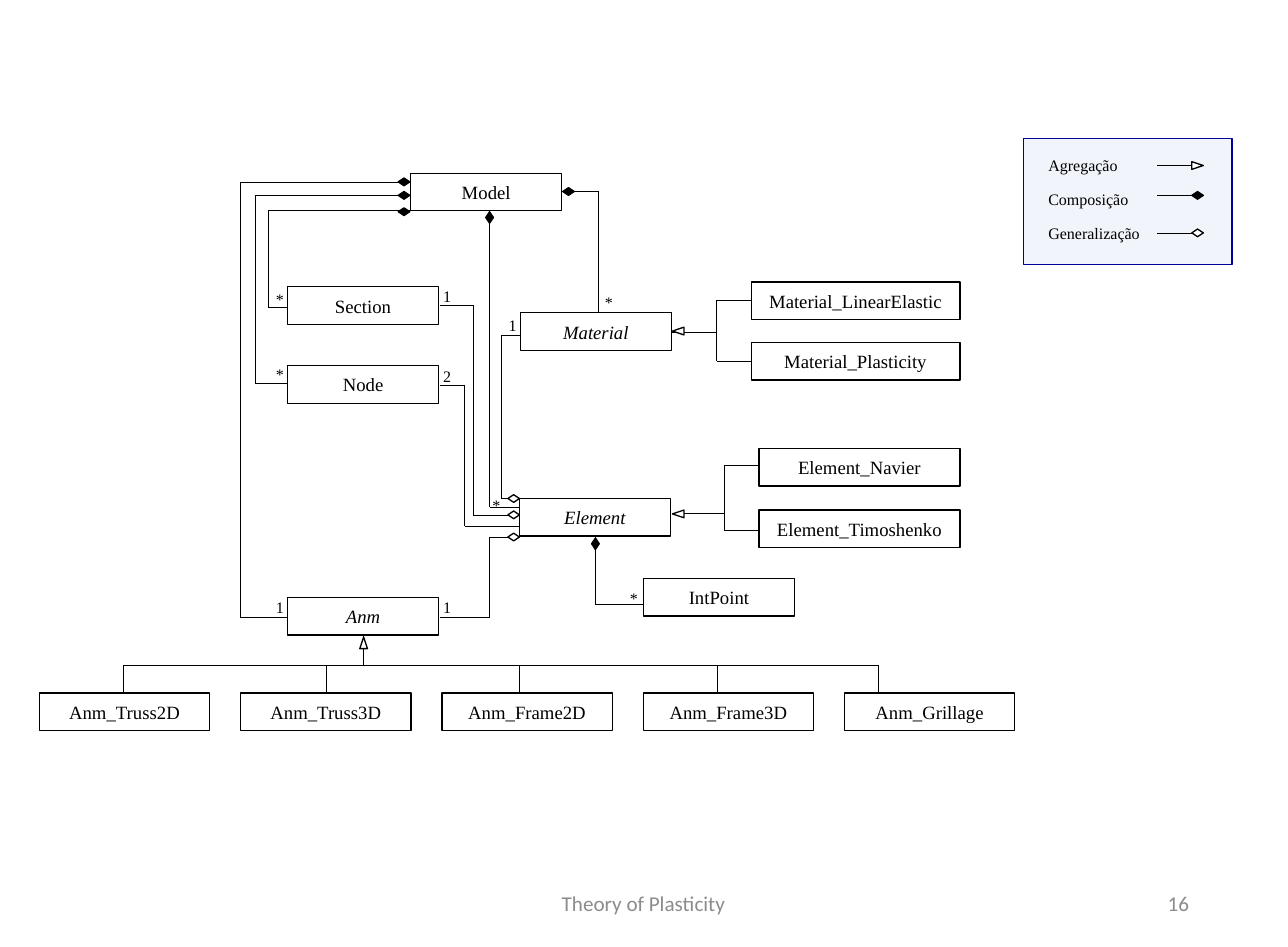
"""Build the class diagram slide of the finite element model."""
from itertools import pairwise

from lxml import etree
from pptx import Presentation
from pptx.dml.color import RGBColor
from pptx.enum.shapes import MSO_CONNECTOR, MSO_SHAPE
from pptx.enum.text import MSO_ANCHOR, PP_ALIGN
from pptx.oxml.ns import qn
from pptx.util import Inches, Pt

RECTANGLE, DIAMOND, TRIANGLE = MSO_SHAPE.RECTANGLE, MSO_SHAPE.DIAMOND, MSO_SHAPE.ISOSCELES_TRIANGLE
STRAIGHT = MSO_CONNECTOR.STRAIGHT
LEFT, CENTER, RIGHT = PP_ALIGN.LEFT, PP_ALIGN.CENTER, PP_ALIGN.RIGHT
TOP, MIDDLE = MSO_ANCHOR.TOP, MSO_ANCHOR.MIDDLE
SERIF, SANS = "Times New Roman", "Calibri"
BLACK, WHITE, GRAY, NAVY, PALE_BLUE = "000000", "FFFFFF", "8C8C8C", "000099", "DAE3F3"
BOX_HEIGHT = 0.39

prs = Presentation()
prs.slide_width, prs.slide_height = Inches(13.39), Inches(9.84)
slide = prs.slides.add_slide(prs.slide_layouts[6])


def add_outlined(kind, left, top, width, height, fill, line=BLACK):
    shape = slide.shapes.add_shape(kind, Inches(left), Inches(top), Inches(width), Inches(height))
    shape.shadow.inherit = False
    shape.fill.solid()
    shape.fill.fore_color.rgb = RGBColor.from_string(fill)
    shape.line.color.rgb = RGBColor.from_string(line)
    shape.line.width = Pt(1)
    return shape


def write(shape, text, size, font=SERIF, color=BLACK, align=LEFT, anchor=TOP, italic=False):
    frame = shape.text_frame
    frame.word_wrap = True
    frame.vertical_anchor = anchor
    paragraph = frame.paragraphs[0]
    paragraph.text = text
    paragraph.alignment = align
    paragraph.font.name = font
    paragraph.font.size = Pt(size)
    paragraph.font.italic = italic
    paragraph.font.color.rgb = RGBColor.from_string(color)


legend = add_outlined(RECTANGLE, 10.64, 1.44, 2.17, 1.31, PALE_BLUE, NAVY)
legend_color = legend.element.spPr.find(qn("a:solidFill"))[0]
etree.SubElement(legend_color, qn("a:alpha"), val="36000")

for text, left, width, align in [
    ("Theory of Plasticity", 4.43, 4.52, CENTER),
    ("16", 9.45, 3.01, RIGHT),
]:
    footer = slide.shapes.add_textbox(Inches(left), Inches(9.12), Inches(width), Inches(0.52))
    write(footer, text, 15.8, SANS, GRAY, align, MIDDLE)

anm_bus = 6.91
anm_stems = [1.28, 3.39, 5.4, 7.46, 9.13]
legend_rows = [1.72, 2.03, 2.42]
routes = [
    [(4.27, 1.89), (2.5, 1.89), (2.5, 6.42), (2.99, 6.42)],
    [(4.27, 2.03), (2.65, 2.03), (2.65, 3.98), (2.99, 3.98)],
    [(4.27, 2.19), (2.79, 2.19), (2.79, 3.19), (2.99, 3.19)],
    [(5.86, 1.99), (6.22, 1.99), (6.22, 3.25)],
    [(5.09, 2.19), (5.09, 5.27), (5.4, 5.27)],
    [(4.57, 3.17), (4.92, 3.17), (4.92, 5.35), (5.4, 5.35)],
    [(4.57, 4), (4.83, 4), (4.83, 5.47), (5.4, 5.47)],
    [(5.41, 3.48), (5.21, 3.48), (5.21, 5.18), (5.4, 5.18)],
    [(4.57, 6.41), (5.09, 6.41), (5.09, 5.58), (5.4, 5.58)],
    [(6.19, 5.58), (6.19, 6.28), (6.69, 6.28)],
    [(7.81, 3.12), (7.45, 3.12), (7.45, 3.75), (7.81, 3.75)],
    [(6.99, 3.45), (7.45, 3.45)],
    [(7.89, 4.84), (7.53, 4.84), (7.53, 5.51), (7.89, 5.51)],
    [(7.06, 5.33), (7.53, 5.33)],
    [(anm_stems[0], anm_bus), (anm_stems[-1], anm_bus)],
    [(3.78, anm_bus), (3.78, 6.61)],
]
routes += [[(stem, 7.2), (stem, anm_bus)] for stem in anm_stems]
routes += [[(12.03, row), (12.39, row)] for row in legend_rows]
for route in routes:
    for (x1, y1), (x2, y2) in pairwise(route):
        segment = slide.shapes.add_connector(STRAIGHT, Inches(x1), Inches(y1), Inches(x2), Inches(y2))
        segment.line.color.rgb = RGBColor.from_string(BLACK)
        segment.line.width = Pt(0.5)
        etree.SubElement(segment.element.spPr, qn("a:effectLst"))

classes = [
    ("Model", 4.27, 1.8, 1.57),
    ("Section", 2.99, 2.98, 1.57),
    ("Node", 2.99, 3.8, 1.57),
    ("Anm", 2.99, 6.21, 1.57),
    ("Material", 5.41, 3.25, 1.57),
    ("Element", 5.4, 5.18, 1.57),
    ("IntPoint", 6.69, 6.01, 1.57),
    ("Material_LinearElastic", 7.81, 2.93, 2.17),
    ("Material_Plasticity", 7.81, 3.56, 2.17),
    ("Element_Navier", 7.89, 4.66, 2.09),
    ("Element_Timoshenko", 7.89, 5.3, 2.09),
]
anm_types = ["Truss2D", "Truss3D", "Frame2D", "Frame3D", "Grillage"]
classes += [(f"Anm_{kind}", 0.41 + 2.0925 * i, 7.2, 1.77) for i, kind in enumerate(anm_types)]
abstract_classes = {"Anm", "Material", "Element"}
for name, left, top, width in classes:
    class_box = add_outlined(RECTANGLE, left, top, width, BOX_HEIGHT, WHITE)
    write(class_box, name, 14, align=CENTER, anchor=MIDDLE, italic=name in abstract_classes)

for kind, fill, rotation, spots in [
    (DIAMOND, BLACK, 90, [(4.16, 1.83), (4.16, 1.97), (4.16, 2.14), (5.87, 1.93), (12.41, 1.97)]),
    (DIAMOND, BLACK, 0, [(5.05, 2.2), (6.15, 5.59)]),
    (DIAMOND, WHITE, 90, [(5.3, 5.12), (5.3, 5.29), (5.3, 5.52), (12.41, 2.36)]),
    (TRIANGLE, WHITE, 270, [(7.01, 3.38), (7.01, 5.28)]),
    (TRIANGLE, WHITE, 0, [(3.74, 6.62)]),
    (TRIANGLE, WHITE, 90, [(12.41, 1.66)]),
]:
    for left, top in spots:
        add_outlined(kind, left, top, 0.08, 0.12, fill).rotation = rotation

labels = [
    ("1", 4.51, 2.93, 0.27),
    ("2", 4.51, 3.76, 0.27),
    ("1", 4.51, 6.16, 0.27),
    ("1", 5.19, 3.23, 0.27),
    ("1", 2.77, 6.16, 0.27),
    ("*", 2.77, 3.74, 0.27),
    ("*", 2.77, 2.96, 0.27),
    ("*", 6.19, 2.99, 0.27),
    ("*", 5.02, 5.1, 0.27),
    ("*", 6.45, 6.07, 0.27),
    ("Agregação", 10.8, 1.57, 1.02),
    ("Composição", 10.8, 1.92, 1.23),
    ("Generalização", 10.8, 2.27, 1.46),
]
for text, left, top, width in labels:
    label = slide.shapes.add_textbox(Inches(left), Inches(top), Inches(width), Inches(0.3))
    write(label, text, 12)

prs.save("out.pptx")
